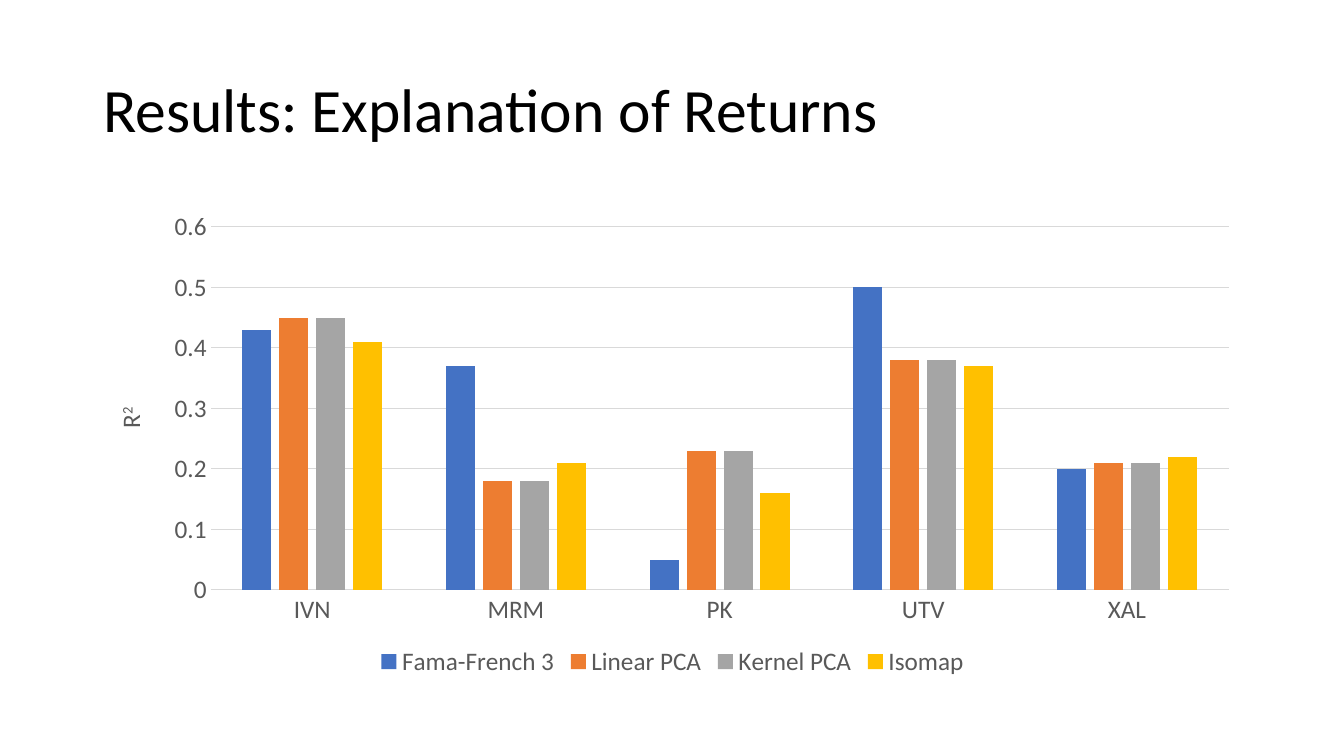
"""Build the slide on how well each model explains returns."""
from pptx import Presentation
from pptx.chart.data import CategoryChartData
from pptx.dml.color import RGBColor
from pptx.enum.chart import XL_CHART_TYPE, XL_LEGEND_POSITION, XL_TICK_MARK
from pptx.enum.text import MSO_ANCHOR, MSO_AUTO_SIZE, PP_ALIGN
from pptx.util import Pt

SCALE = 914400 / 100.8
FACE = "Calibri"
GREY = "595959"
RULE = "D9D9D9"
NAMES = ["IVN", "MRM", "PK", "UTV", "XAL"]
MODELS = [
    ("Fama-French 3", "4472C4", [0.43, 0.37, 0.05, 0.5, 0.2]),
    ("Linear PCA", "ED7D31", [0.45, 0.18, 0.23, 0.38, 0.21]),
    ("Kernel PCA", "A5A5A5", [0.45, 0.18, 0.23, 0.38, 0.21]),
    ("Isomap", "FFC000", [0.41, 0.21, 0.16, 0.37, 0.22]),
]


def px(size):
    """Turn pixels into EMU."""
    return round(size * SCALE)


def color(code):
    """Turn a hex string into a colour."""
    return RGBColor.from_string(code)


def style(font, size=18, code=GREY):
    """Set the face, size and colour of a font."""
    font.name = FACE
    font.size = Pt(size)
    font.bold = False
    font.color.rgb = color(code)


def write(para, text, raised=False, **look):
    """Add a formatted run to a paragraph."""
    run = para.add_run()
    run.text = text
    style(run.font, **look)
    if raised:
        run._r.get_or_add_rPr().set("baseline", "30000")


def stroke(line, code):
    """Draw a thin line in one colour."""
    line.color.rgb = color(code)
    line.width = Pt(0.75)


def add_title(slide, box, text):
    """Place and fill the title."""
    title = slide.shapes.title
    title.left, title.top, title.width, title.height = map(px, box)
    frame = title.text_frame
    frame.auto_size = MSO_AUTO_SIZE.NONE
    frame.word_wrap = True
    frame.vertical_anchor = MSO_ANCHOR.MIDDLE
    para = frame.paragraphs[0]
    para.alignment = PP_ALIGN.LEFT
    para.line_spacing = 0.9
    write(para, text, size=44, code="000000")


def format_axes(chart):
    """Format both axes, the grid and the axis title."""
    for axis in (chart.category_axis, chart.value_axis):
        axis.major_tick_mark = axis.minor_tick_mark = XL_TICK_MARK.NONE
        style(axis.tick_labels.font)
    stroke(chart.category_axis.format.line, RULE)
    scale = chart.value_axis
    scale.minimum_scale, scale.maximum_scale, scale.major_unit = 0, 0.6, 0.1
    scale.tick_labels.number_format = "General"
    scale.tick_labels.number_format_is_linked = False
    scale.format.line.fill.background()
    stroke(scale.major_gridlines.format.line, RULE)
    frame = scale.axis_title.text_frame
    frame._txBody.bodyPr.set("rot", "-5400000")
    frame._txBody.bodyPr.set("vert", "horz")
    write(frame.paragraphs[0], "R")
    write(frame.paragraphs[0], "2", raised=True)


def add_bars(slide, box):
    """Place the clustered columns of all models."""
    data = CategoryChartData()
    data.categories = NAMES
    for name, _, vals in MODELS:
        data.add_series(name, vals)
    kind = XL_CHART_TYPE.COLUMN_CLUSTERED
    chart = slide.shapes.add_chart(kind, *map(px, box), data).chart
    style(chart.font)
    chart.has_title = False
    plot = chart.plots[0]
    plot.gap_width, plot.overlap = 219, -27
    plot.vary_by_categories = False
    for bars, (_, code, _) in zip(plot.series, MODELS):
        bars.format.fill.solid()
        bars.format.fill.fore_color.rgb = color(code)
    format_axes(chart)
    chart.has_legend = True
    chart.legend.position = XL_LEGEND_POSITION.BOTTOM
    chart.legend.include_in_layout = False
    style(chart.legend.font)


def main():
    """Build and save the deck."""
    deck = Presentation()
    deck.slide_width, deck.slide_height = px(1344), px(756)
    slide = deck.slides.add_slide(deck.slide_layouts[5])
    add_title(slide, (93, 40, 1159, 146), "Results: Explanation of Returns")
    add_bars(slide, (93, 202, 1159, 480))
    deck.save("out.pptx")


main()
